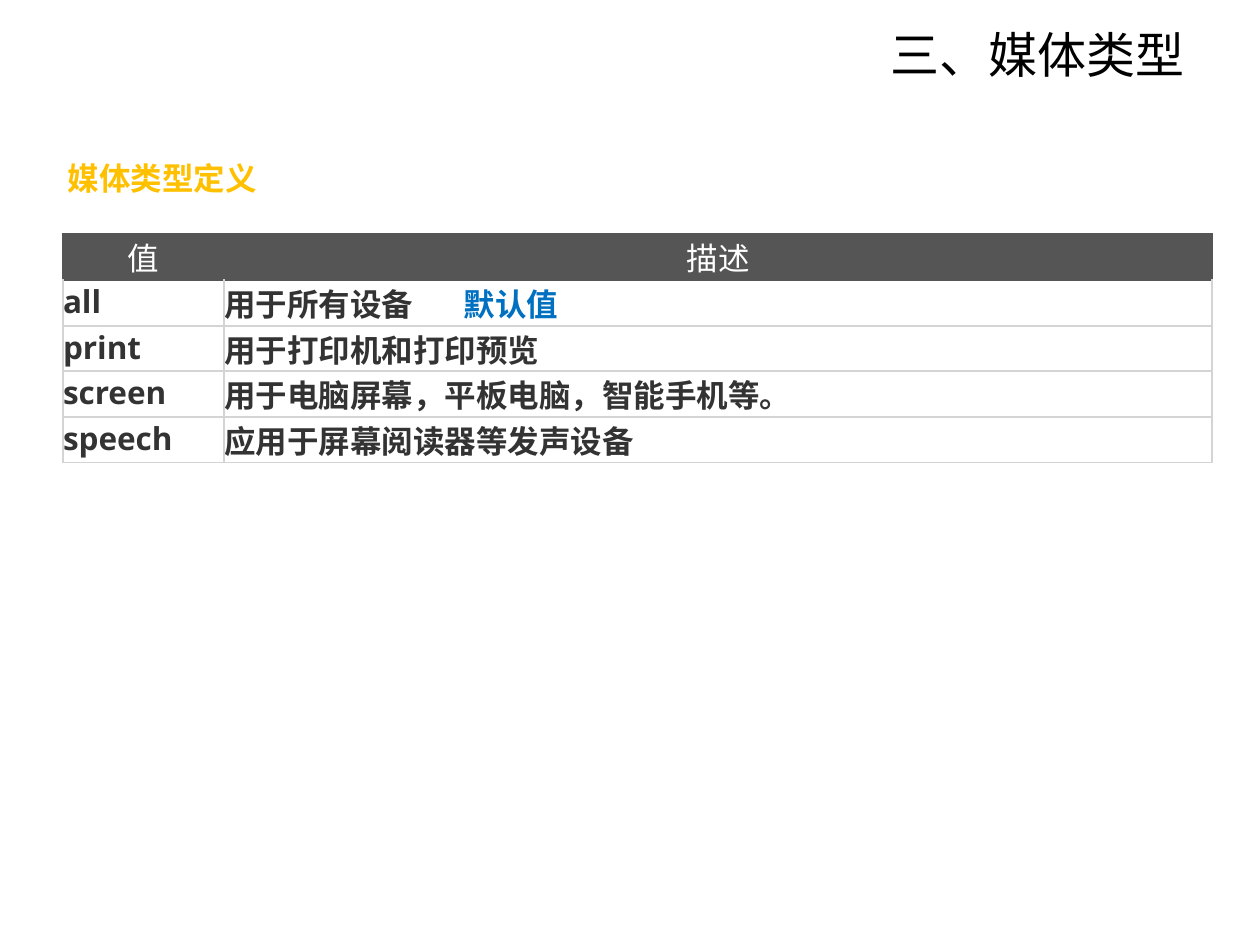
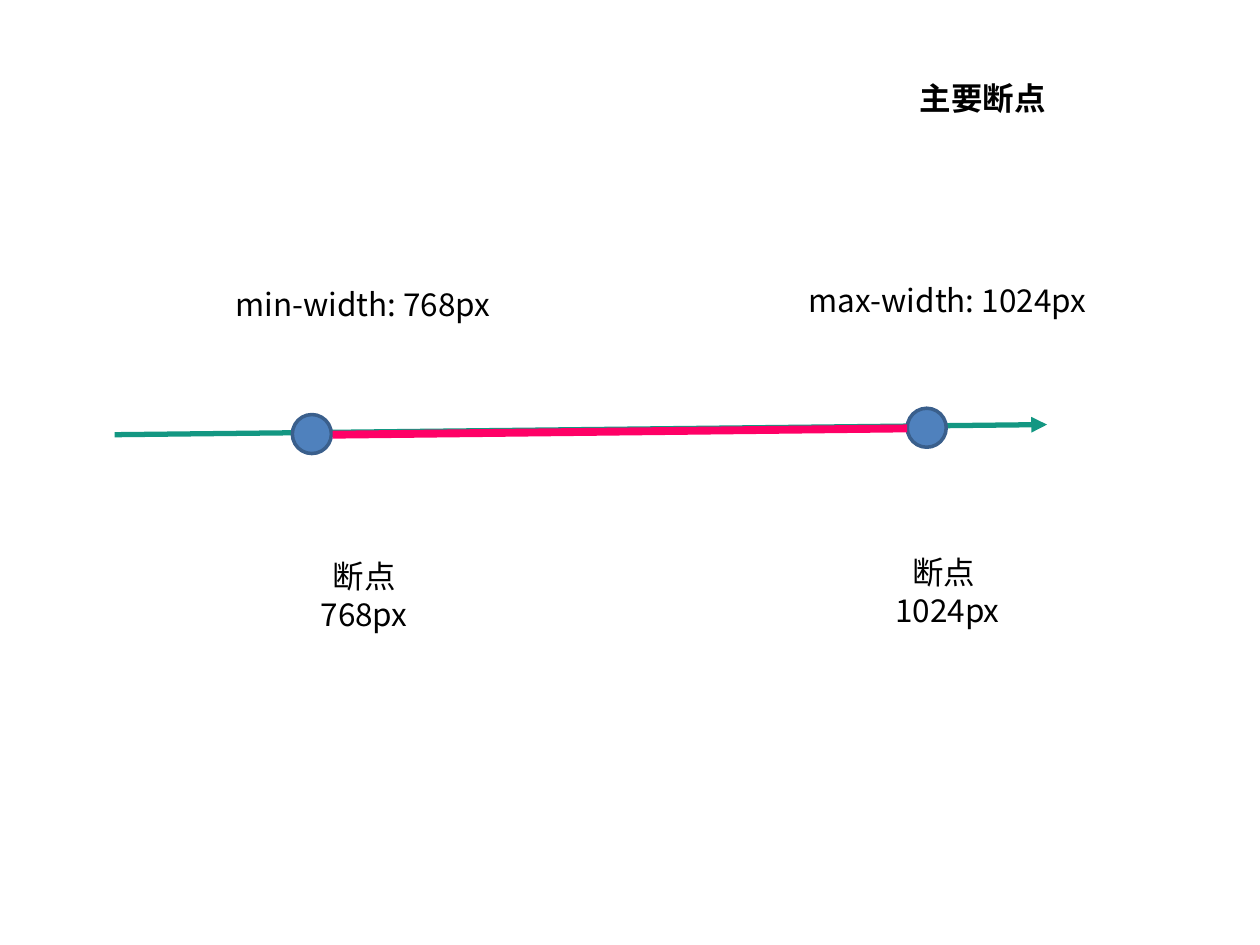
from pptx import Presentation
from pptx.dml.color import RGBColor
from pptx.enum.shapes import MSO_CONNECTOR, MSO_SHAPE
from pptx.enum.text import MSO_ANCHOR, MSO_AUTO_SIZE, PP_ALIGN
from pptx.oxml.ns import qn
from pptx.util import Inches, Pt
from lxml import etree

LEFT, CENTER, RIGHT = PP_ALIGN.LEFT, PP_ALIGN.CENTER, PP_ALIGN.RIGHT
MIDDLE = MSO_ANCHOR.MIDDLE
NO_FIT, GROW = MSO_AUTO_SIZE.NONE, MSO_AUTO_SIZE.SHAPE_TO_FIT_TEXT
OVAL, STRAIGHT = MSO_SHAPE.OVAL, MSO_CONNECTOR.STRAIGHT
TITLE_ONLY = 5

CJK_FONT, TABLE_FONT, LABEL_FONT = "Noto Sans CJK SC", "Open Sans", "Calibri"
BLACK, WHITE, DARK, BODY = "000000", "FFFFFF", "555555", "333333"
GRID, AMBER, BLUE = "D4D4D4", "FFC000", "0070C0"
AXIS, RANGE, DOT, DOT_EDGE = "139782", "FF0066", "4F81BD", "3A5F8C"
BORDER_WIDTH = Pt(1.2)

MEDIA_TYPES = [
    ("all", [("用于所有设备\t", BODY), ("默认值", BLUE)]),
    ("print", "用于打印机和打印预览"),
    ("screen", "用于电脑屏幕，平板电脑，智能手机等。"),
    ("speech", "应用于屏幕阅读器等发声设备"),
]


def rgb(code):
    """Turn a hex string into a colour."""
    return RGBColor.from_string(code)


def add_child(parent, tag, **attributes):
    """Append a DrawingML element with attributes."""
    return etree.SubElement(parent, qn(tag), attributes)


def write(frame, text, size=18, color=BLACK, font=CJK_FONT, bold=False, align=LEFT):
    """Write lines of text, or a list of (text, colour) spans, into a frame."""
    lines = [[(line, color)] for line in text.split("\n")] if isinstance(text, str) else [text]
    for index, line in enumerate(lines):
        para = frame.paragraphs[0] if index == 0 else frame.add_paragraph()
        para.alignment = align
        for words, span_color in line:
            span = para.add_run()
            span.text = words
            span.font.size = Pt(size)
            span.font.bold = bold
            span.font.name = font
            span.font.color.rgb = rgb(span_color)
            add_child(span.font._element, "a:ea", typeface=CJK_FONT)


def add_titled_page(deck, text, box, **text_format):
    """Add a page whose title sits in the given box."""
    page = deck.slides.add_slide(deck.slide_layouts[TITLE_ONLY])
    title = page.shapes.title
    title.left, title.top, title.width, title.height = map(Inches, box)
    frame = title.text_frame
    frame.auto_size = NO_FIT
    frame.vertical_anchor = MIDDLE
    write(frame, text, **text_format)
    return page


def add_label(page, text, box, **text_format):
    """Add a wrapping text box."""
    frame = page.shapes.add_textbox(*map(Inches, box)).text_frame
    frame.word_wrap = True
    frame.auto_size = GROW
    write(frame, text, **text_format)


def add_line(page, start, end, color, width, arrow=False):
    """Draw a straight line, with an arrowhead at its end if asked."""
    line = page.shapes.add_connector(STRAIGHT, *map(Inches, (*start, *end)))
    line.line.color.rgb = rgb(color)
    line.line.width = Pt(width)
    if arrow:
        add_child(line.line._get_or_add_ln(), "a:tailEnd", type="triangle")
    add_child(line._element.spPr, "a:effectLst")


def style_cell(cell, fill, edge, top_edge):
    """Remove cell margins, then set its borders and fill."""
    cell.margin_left = cell.margin_right = cell.margin_top = cell.margin_bottom = 0
    properties = cell._tc.get_or_add_tcPr()
    for side, color in (("L", edge), ("R", edge), ("T", top_edge), ("B", edge)):
        border = add_child(properties, f"a:ln{side}", w=str(BORDER_WIDTH))
        add_child(add_child(border, "a:solidFill"), "a:srgbClr", val=color)
    cell.fill.solid()
    cell.fill.fore_color.rgb = rgb(fill)


def add_media_table(page, left, top):
    """Add the table of media types at the given corner."""
    rows = [("值", "描述"), *MEDIA_TYPES]
    widths = (1.28, 7.84)
    heights = [0.3] + [0.25] * len(MEDIA_TYPES)
    box = (left, top, sum(widths), sum(heights))
    table = page.shapes.add_table(len(rows), len(widths), *map(Inches, box)).table
    for column, width in zip(table.columns, widths):
        column.width = Inches(width)
    for r, (row, height) in enumerate(zip(rows, heights)):
        table.rows[r].height = Inches(height)
        header = r == 0
        for c, text in enumerate(row):
            cell = table.cell(r, c)
            style_cell(cell, DARK if header else WHITE, DARK if header else GRID,
                       DARK if r < 2 else GRID)
            if header:
                write(cell.text_frame, text, color=WHITE, align=CENTER)
            else:
                write(cell.text_frame, text, color=BODY, font=TABLE_FONT, bold=True)
    default_para = table.cell(1, 1).text_frame.paragraphs[0]
    stops = add_child(default_para._p.get_or_add_pPr(), "a:tabLst")
    add_child(stops, "a:tab", pos=str(Inches(1.9)), algn="l")


def add_breakpoint(page, left, top, size=0.31):
    """Mark a breakpoint with a dot."""
    dot = page.shapes.add_shape(OVAL, *map(Inches, (left, top, size, size)))
    dot.shadow.inherit = False
    dot.fill.solid()
    dot.fill.fore_color.rgb = rgb(DOT)
    dot.line.color.rgb = rgb(DOT_EDGE)
    dot.line.width = Pt(2)


def build_media_types(deck):
    """Build the page that defines the media types."""
    page = add_titled_page(deck, "三、媒体类型", (0.5, 0.07, 9, 0.71), size=28, align=RIGHT)
    add_media_table(page, 0.5, 1.86)
    add_label(page, "媒体类型定义", (0.44, 1.21, 2.11, 0.42), color=AMBER, bold=True)


def build_breakpoints(deck):
    """Build the page that shows the main breakpoints on an axis."""
    page = add_titled_page(deck, "主要断点", (7.2, 0.58, 1.21, 0.4), font=LABEL_FONT, bold=True)
    add_line(page, (0.91, 3.45), (8.31, 3.37), AXIS, 3, arrow=True)
    add_breakpoint(page, 2.32, 3.29)
    add_breakpoint(page, 7.2, 3.24)
    add_label(page, "min-width: 768px", (1.77, 2.21, 2.6, 0.4))
    add_label(page, "max-width: 1024px", (6.22, 2.18, 2.6, 0.4), align=CENTER)
    add_label(page, "断点\n768px", (1.77, 4.37, 2.24, 0.71), align=CENTER)
    add_label(page, "断点 \n1024px", (6.4, 4.34, 2.24, 0.71), align=CENTER)
    add_line(page, (2.64, 3.45), (7.2, 3.4), RANGE, 4.5)


def main():
    """Build and save the deck."""
    deck = Presentation()
    deck.slide_width, deck.slide_height = Inches(10), Inches(7.5)
    build_media_types(deck)
    build_breakpoints(deck)
    deck.save("out.pptx")


if __name__ == "__main__":
    main()
